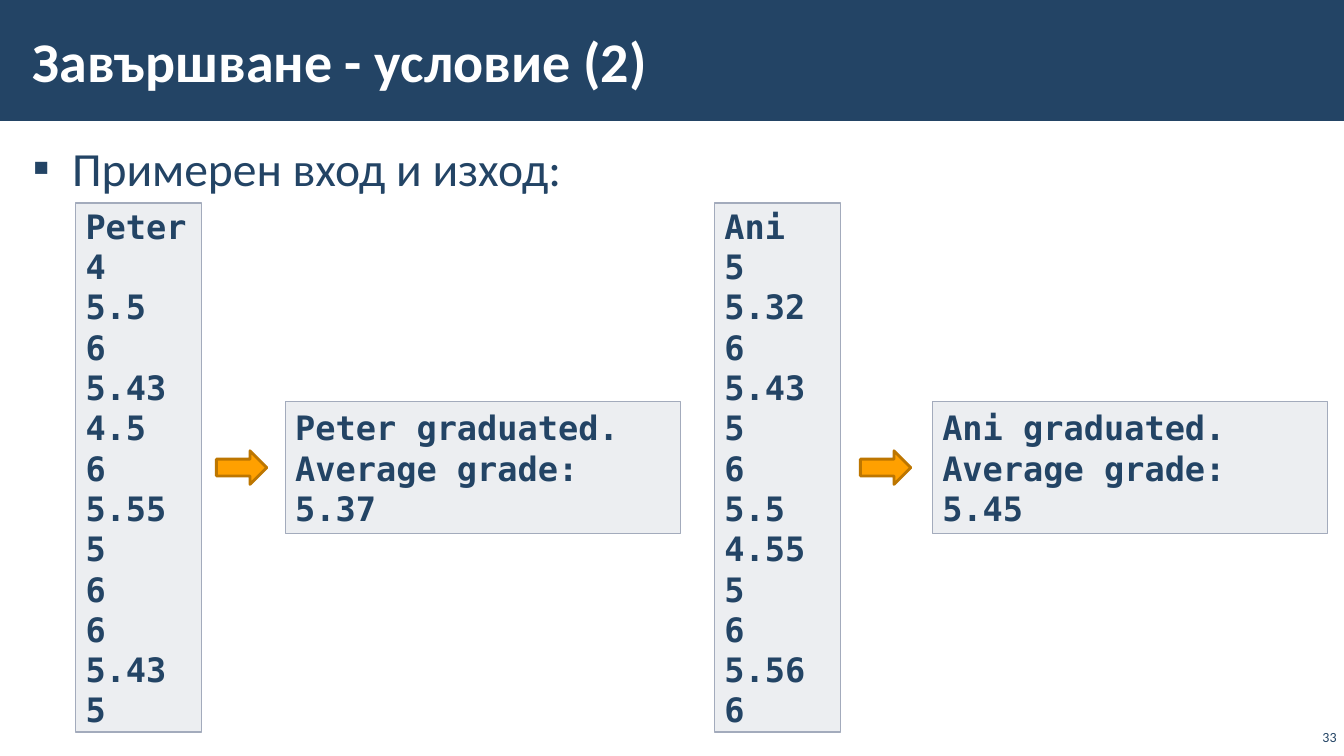
"""Builds the slide with two sample inputs and outputs of the graduation task."""
import pptx
import pptx.util
import pptx.dml.color
import pptx.enum.shapes
import pptx.enum.text
import pptx.oxml
import pptx.oxml.ns
from dataclasses import dataclass

Pt = pptx.util.Pt
RGB = pptx.dml.color.RGBColor.from_string
SHAPE = pptx.enum.shapes.MSO_SHAPE
ANCHOR = pptx.enum.text.MSO_ANCHOR
ALIGN = pptx.enum.text.PP_ALIGN
qn = pptx.oxml.ns.qn


@dataclass(frozen=True)
class Theme:
    navy: str = "234465"
    white: str = "FFFFFF"
    panel: str = "A3ABBC"
    arrow: str = "FFA000"
    arrow_line: str = "BD7600"
    sans: str = "Calibri"
    mono: str = "DejaVu Sans Mono"
    title: int = 40
    body: int = 34
    code: int = 24
    number: int = 10


theme = Theme()


def add_shape(s, kind, box, fill, line=None, width=1, opacity=None):
    sp = s.shapes.add_shape(kind, *map(Pt, box))
    sp.shadow.inherit = False
    sp.fill.solid()
    sp.fill.fore_color.rgb = RGB(fill)
    if opacity:
        color = sp.fill._xPr.find(qn("a:solidFill"))[0]
        color.append(pptx.oxml.parse_xml(
            f'<a:alpha {pptx.oxml.ns.nsdecls("a")} val="{opacity * 1000}"/>'))
    if line:
        sp.line.color.rgb = RGB(line)
        sp.line.width = Pt(width)
    else:
        sp.line.fill.background()
    return sp


def write(sp, text, font, size, color, bold=False, anchor=ANCHOR.MIDDLE,
          align=ALIGN.LEFT, spacing=1.0, insets=(7.2, 3.6)):
    tf = sp.text_frame
    tf.word_wrap = True
    tf.vertical_anchor = anchor
    tf.margin_left = tf.margin_right = Pt(insets[0])
    tf.margin_top = tf.margin_bottom = Pt(insets[1])
    tf.text = text
    for p in tf.paragraphs:
        p.alignment = align
        p.line_spacing = spacing
        for r in p.runs:
            r.font.name = font
            r.font.size = Pt(size)
            r.font.bold = bold
            r.font.color.rgb = RGB(color)
    return tf


prs = pptx.Presentation()
prs.slide_width, prs.slide_height = Pt(960), Pt(540)
s = prs.slides.add_slide(prs.slide_layouts[6])

add_shape(s, SHAPE.RECTANGLE, (0, 0, 960, 86.4), theme.navy)

number = s.shapes.add_textbox(Pt(933), Pt(512.6), Pt(28.8), Pt(23))
write(number, "33", theme.sans, theme.number, theme.navy,
      anchor=ANCHOR.BOTTOM, align=ALIGN.RIGHT)

body = s.shapes.add_textbox(Pt(15), Pt(94.3), Pt(930), Pt(435.6))
tf = write(body, "Примерен вход и изход:", theme.sans, theme.body, theme.navy,
           anchor=ANCHOR.TOP, spacing=1.05, insets=(8.5, 2.9))
p = tf.paragraphs[0]
p.space_before = p.space_after = Pt(6)
pPr = p._p.get_or_add_pPr()
pPr.set("marL", str(Pt(28)))
pPr.set("indent", str(-Pt(28)))
for tag, name, value in (("a:buFont", "typeface", theme.sans),
                         ("a:buChar", "char", "▪")):
    pPr.append(pptx.oxml.parse_xml(
        f'<{tag} {pptx.oxml.ns.nsdecls("a")} {name}="{value}"/>'))

title = s.shapes.add_textbox(Pt(15), Pt(8), Pt(765), Pt(70))
write(title, "Завършване - условие (2)", theme.sans, theme.title, theme.white,
      bold=True, insets=(8.5, 2.9))

examples = [
    ("Peter", "4 5.5 6 5.43 4.5 6 5.55 5 6 6 5.43 5", "5.37",
     54, 154.6, 203.8),
    ("Ani", "5 5.32 6 5.43 5 6 5.5 4.55 5 6 5.56 6", "5.45",
     510.4, 614.6, 666),
]
for student, grades, average, input_x, arrow_x, output_x in examples:
    panels = [
        ((input_x, 145, 90, 378), "\n".join([student, *grades.split()])),
        ((output_x, 287, 282.4, 94),
         f"{student} graduated. Average grade: {average}"),
    ]
    for box, text in panels:
        panel = add_shape(s, SHAPE.RECTANGLE, box, theme.panel, theme.panel,
                          opacity=20)
        write(panel, text, theme.mono, theme.code, theme.navy, bold=True)
    add_shape(s, SHAPE.RIGHT_ARROW, (arrow_x, 322, 36, 24), theme.arrow,
              theme.arrow_line, width=2)

prs.save("out.pptx")
